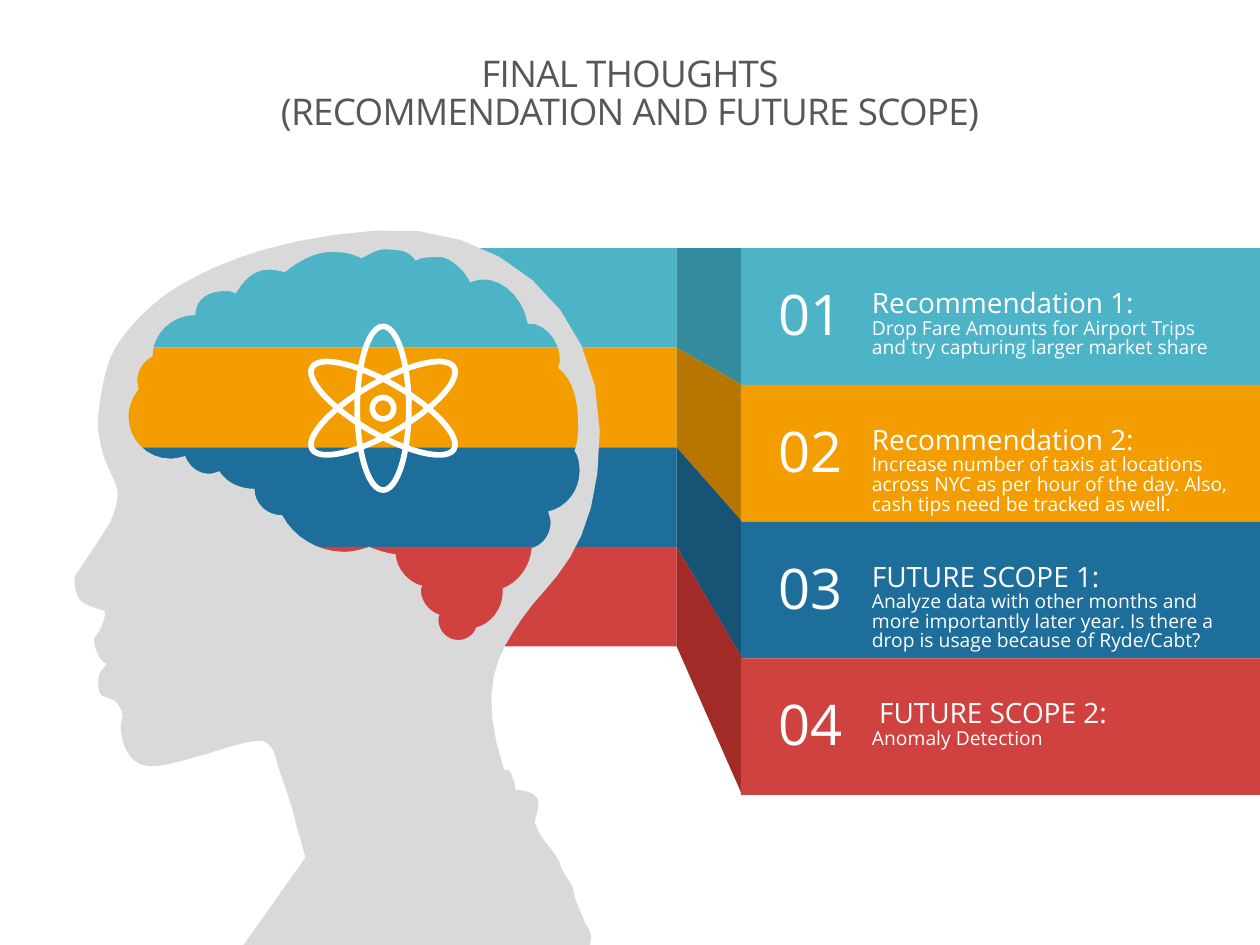
from pptx import Presentation
from pptx.dml.color import RGBColor
from pptx.enum.shapes import MSO_SHAPE
from pptx.enum.text import MSO_ANCHOR, PP_ALIGN
from pptx.util import Inches, Pt

FONT = "Open Sans"
WHITE, GREY = "FFFFFF", "D9D9D9"

# Grid: slim bands behind the head fan out into tall bars on the right
TOP, SLIM, TALL = 1.97, 0.79, 1.085
BAND_X, FOLD_X, BAR_X, TEXT_X = 0.83, 5.37, 5.88, 6.92
BAR_W, TEXT_W = 4.24, 2.83

# Band colour, fold colour, heading, body
ITEMS = [
    ("4DB3C7", "328C9D", "Recommendation 1:",
     "Drop Fare Amounts for Airport Trips and try capturing larger market share"),
    ("F49D00", "B77600", "Recommendation 2:",
     "Increase number of taxis at locations across NYC as per hour of the day. "
     "Also, cash tips need be tracked as well."),
    ("1D6E9B", "165374", "FUTURE SCOPE 1:",
     "Analyze data with other months and more importantly later year. "
     "Is there a drop is usage because of Ryde/Cabt?"),
    ("CF423F", "A22B28", " FUTURE SCOPE 2:", "Anomaly Detection"),
]

# Contours in inches: a pair is the start or a line, six numbers make one cubic curve
SHOULDERS = [
    (4.09, 6.27),
    (4.09, 6.27, 4.09, 6.21, 4.07, 6.18, 4.06, 6.15, 4.06, 6.11, 4.01, 6.11, 3.97, 6.11, 3.95, 6.13, 3.94, 6.13),
    (3.92, 6.13, 3.88, 6.13, 3.85, 6.13, 3.81, 6.14, 3.79, 6.16, 3.72, 6.18, 3.65, 6.19, 3.55, 6.23, 3.52, 6.27),
    (3.47, 6.3, 3.39, 6.34, 3.36, 6.37, 3.33, 6.4, 3.29, 6.39, 3.26, 6.42, 3.23, 6.46, 3.04, 6.61, 2.98, 6.66),
    (2.92, 6.72, 2.73, 6.82, 2.71, 6.89, 2.68, 6.96, 2.64, 7.02, 2.58, 7.04, 2.53, 7.06, 2.44, 7.14, 2.41, 7.18),
    (2.4, 7.22, 2.34, 7.24, 2.31, 7.28, 2.27, 7.33, 2.22, 7.38, 2.22, 7.38, 2.22, 7.38, 2.34, 7.13, 2.38, 7.08),
    (2.41, 7.03, 2.42, 6.94, 2.45, 6.91, 2.44, 6.85, 2.39, 6.68, 2.36, 6.59, 2.26, 6.65, 2.08, 6.77, 2.05, 6.83),
    (2.02, 6.89, 1.99, 7.1, 1.98, 7.16, 1.89, 7.21, 1.7, 7.57, 1.68, 7.65),
    (1.33, 8.43), (0.98, 9.52), (4.88, 9.75), (5.08, 8.51), (4.86, 7.89),
    (4.84, 7.84, 4.77, 7.65, 4.75, 7.63, 4.73, 7.6, 4.69, 7.59, 4.67, 7.56, 4.66, 7.54, 4.7, 7.47, 4.69, 7.42),
    (4.68, 7.37, 4.65, 7.35, 4.63, 7.29, 4.59, 7.2, 4.55, 7.1, 4.55, 7.06, 4.55, 7.02, 4.46, 6.93, 4.45, 6.87),
    (4.44, 6.8, 4.28, 6.64, 4.27, 6.59, 4.25, 6.54, 4.24, 6.54, 4.25, 6.5),
    (4.26, 6.46, 4.29, 6.37, 4.26, 6.33, 4.22, 6.28, 4.14, 6.27, 4.09, 6.27),
]
FACE_MASK = [
    (2.41, 1.94), (1.64, 2.15, 1.71, 2.27, 1.24, 2.49), (0.92, 3.09), (1.01, 3.67),
    (1, 3.87, 1.19, 4.08, 1.18, 4.28, 1.17, 4.62, 1.16, 4.97, 1.14, 5.31), (2.1, 5.38), (2.54, 6.64),
    (1.84, 7.63), (1.56, 8.17), (1.14, 9.39), (-0.21, 9.39), (-0.2, 1.93), (1.25, 1.93),
]
HEAD = [
    (4.76, 3.42),
    (4.76, 2.43, 3.93, 1.75, 2.98, 1.83, 2.03, 1.9, 1.57, 2.18, 1.37, 2.3, 1.17, 2.43, 0.97, 2.65, 0.9, 2.79),
    (0.83, 2.92, 0.79, 3.18, 0.78, 3.3, 0.77, 3.42, 0.79, 3.49, 0.81, 3.57, 0.82, 3.65, 0.9, 3.78, 0.93, 3.88),
    (0.95, 3.97, 0.89, 4.14, 0.84, 4.2, 0.8, 4.27, 0.65, 4.49, 0.61, 4.55, 0.57, 4.6, 0.6, 4.68, 0.62, 4.74),
    (0.65, 4.8, 0.75, 4.82, 0.77, 4.83, 0.79, 4.84, 0.82, 4.84, 0.83, 4.85, 0.84, 4.86, 0.83, 4.92, 0.81, 4.96),
    (0.8, 5, 0.77, 5.04, 0.75, 5.06, 0.74, 5.09, 0.76, 5.16, 0.78, 5.2, 0.8, 5.25, 0.85, 5.27, 0.85, 5.27),
    (0.85, 5.27, 0.78, 5.33, 0.78, 5.4, 0.78, 5.47, 0.79, 5.51, 0.81, 5.52, 0.82, 5.53, 0.91, 5.55, 0.93, 5.58),
    (0.95, 5.61, 0.97, 5.64, 0.97, 5.66, 0.98, 5.68, 0.97, 5.71, 0.96, 5.74, 0.95, 5.85, 1, 6.07, 1.18, 6.08),
    (1.31, 6.09, 1.53, 6.01, 1.62, 5.99, 1.69, 5.97, 2.05, 5.84, 2.11, 5.89, 2.17, 5.93, 2.19, 6, 2.2, 6.06),
    (2.22, 6.12, 2.33, 6.43, 2.35, 6.54, 2.38, 6.65, 2.44, 6.85, 2.45, 6.91, 2.35, 6.94, 2.25, 7.15, 2.23, 7.18),
    (2.18, 7.46), (2.18, 7.46, 2.41, 7.47, 2.41, 7.46, 2.4, 7.44, 3.9, 6.29, 3.9, 6.29), (4, 6.11),
    (3.79, 5.46, 3.94, 5.2, 4.15, 4.9, 4.33, 4.62, 4.76, 4.41, 4.76, 3.42),
]
BRAIN = [
    (3.99, 4.7),
    (3.99, 4.83, 3.9, 4.95, 3.78, 4.98, 3.76, 5.04, 3.7, 5.08, 3.64, 5.08, 3.55, 5.08, 3.48, 5.01, 3.48, 4.92),
    (3.48, 4.91, 3.48, 4.89, 3.49, 4.88, 3.4, 4.85, 3.34, 4.77, 3.34, 4.68, 3.34, 4.67, 3.35, 4.66, 3.35, 4.65),
    (3.24, 4.62, 3.15, 4.52, 3.14, 4.4, 3.07, 4.39, 3, 4.37, 2.93, 4.34, 2.87, 4.36, 2.8, 4.38, 2.73, 4.38),
    (2.52, 4.38, 2.33, 4.26, 2.24, 4.09, 2.12, 4.09, 2.02, 4, 2.02, 3.88, 1.9, 3.88, 1.8, 3.83, 1.74, 3.74),
    (1.71, 3.75, 1.69, 3.76, 1.66, 3.76, 1.57, 3.76, 1.5, 3.7, 1.47, 3.62, 1.43, 3.63, 1.39, 3.64, 1.35, 3.64),
    (1.17, 3.64, 1.02, 3.49, 1.02, 3.31, 1.02, 3.23, 1.05, 3.15, 1.1, 3.09, 1.1, 3.07, 1.09, 3.05, 1.09, 3.02),
    (1.09, 2.94, 1.14, 2.86, 1.21, 2.83, 1.21, 2.65, 1.36, 2.5, 1.55, 2.5, 1.55, 2.37, 1.66, 2.31, 1.78, 2.31),
    (1.81, 2.31, 1.84, 2.31, 1.87, 2.33, 1.93, 2.23, 2.01, 2.14, 2.13, 2.14, 2.18, 2.14, 2.22, 2.15, 2.26, 2.16),
    (2.36, 2.08, 2.49, 2, 2.63, 2, 2.73, 2, 2.79, 2.01, 2.87, 2.05, 2.91, 2.03, 2.99, 1.98, 3.04, 1.98),
    (3.16, 1.98, 3.24, 1.98, 3.3, 2.07, 3.33, 2.04, 3.44, 2.04, 3.49, 2.04, 3.58, 2.04, 3.7, 2.16, 3.73, 2.24),
    (3.94, 2.15, 4.15, 2.34, 4.19, 2.57, 4.35, 2.55, 4.49, 2.78, 4.43, 2.92, 4.56, 3.02, 4.59, 3.2, 4.59, 3.39),
    (4.59, 3.45, 4.58, 3.52, 4.56, 3.58, 4.59, 3.62, 4.6, 3.68, 4.6, 3.74, 4.6, 3.9, 4.49, 4.03, 4.35, 4.06),
    (4.36, 4.09, 4.37, 4.12, 4.37, 4.15, 4.37, 4.25, 4.3, 4.33, 4.22, 4.35, 4.21, 4.49, 4.12, 4.62, 3.99, 4.67),
]


def rgb(value):
    return RGBColor.from_string(value)


def paint(sp, color):
    sp.shadow.inherit = False
    sp.fill.solid()
    sp.fill.fore_color.rgb = rgb(color)
    sp.line.fill.background()


def style(p, size, color=WHITE, spacing=None, align=PP_ALIGN.LEFT):
    p.alignment, p.line_spacing = align, spacing
    for r in p.runs:
        r.font.name, r.font.size, r.font.color.rgb = FONT, Pt(size), rgb(color)


def set_frame(tf, left, top, right, bottom, anchor=MSO_ANCHOR.TOP):
    tf.word_wrap, tf.vertical_anchor = True, anchor
    tf.margin_left, tf.margin_top = Inches(left), Inches(top)
    tf.margin_right, tf.margin_bottom = Inches(right), Inches(bottom)


def add_bar(s, x, y, w, h, color):
    sp = s.shapes.add_shape(MSO_SHAPE.RECTANGLE, Inches(x), Inches(y), Inches(w), Inches(h))
    paint(sp, color)
    return sp


def add_textbox(s, x, y, w, h):
    return s.shapes.add_textbox(Inches(x), Inches(y), Inches(w), Inches(h)).text_frame


def add_ring(s, w, h, rotation=0, cx=3.04, cy=3.24):
    sp = s.shapes.add_shape(MSO_SHAPE.OVAL, Inches(cx - w / 2), Inches(cy - h / 2), Inches(w), Inches(h))
    sp.shadow.inherit = False
    sp.fill.background()
    sp.line.color.rgb, sp.line.width = rgb(WHITE), Pt(3.25)
    sp.rotation = rotation


def bezier(a, b, c, d, steps=8):
    for t in (i / steps for i in range(1, steps + 1)):
        weights = ((1 - t)**3, 3 * (1 - t)**2 * t, 3 * (1 - t) * t * t, t**3)
        yield tuple(sum(k * p[axis] for k, p in zip(weights, (a, b, c, d))) for axis in (0, 1))


def flatten(contour):
    points = []
    for row in contour:
        pairs = list(zip(row[::2], row[1::2]))
        if len(pairs) == 1:
            points += pairs
            continue
        for i in range(0, len(pairs), 3):
            points += list(bezier(points[-1], *pairs[i:i + 3]))
    return [(Inches(x), Inches(y)) for x, y in points]


def add_outline(s, color, outer, *holes):
    start, *rest = flatten(outer)
    builder = s.shapes.build_freeform(*start)
    builder.add_line_segments(rest)
    for hole in holes:
        start, *rest = flatten(hole)
        builder.move_to(*start)
        builder.add_line_segments(rest)
    paint(builder.convert_to_shape(), color)


def add_title(s, text):
    tf = add_textbox(s, 0.75, 0.31, 8.5, 0.89)
    set_frame(tf, 0, 0, 0, 0, MSO_ANCHOR.MIDDLE)
    p = tf.paragraphs[0]
    p.text = text
    style(p, 21, "57565A", 0.86, PP_ALIGN.CENTER)
    for r in p.runs:
        r.font._element.set("spc", "-40")


def add_item(s, row, color, heading, body):
    y = TOP + row * TALL
    tf = add_bar(s, BAR_X, y, BAR_W, TALL, color).text_frame
    set_frame(tf, 0.3, 0, 0.1, 0.05, MSO_ANCHOR.MIDDLE)
    tf.text = f"{row + 1:02}"
    style(tf.paragraphs[0], 32)
    tf = add_textbox(s, TEXT_X, y + 0.29, TEXT_W, 0.8)
    set_frame(tf, 0, 0.05, 0, 0.05)
    tf.text = f"{heading}\n{body}"
    for p, size in zip(tf.paragraphs, (16, 11)):
        style(p, size, spacing=0.85)


def main():
    prs = Presentation()
    prs.slide_width, prs.slide_height = Inches(10), Inches(7.5)
    s = prs.slides.add_slide(prs.slide_layouts[6])
    # Bands behind the head, title, shoulders
    for row, (color, *_) in enumerate(ITEMS):
        add_bar(s, BAND_X, TOP + row * SLIM, FOLD_X - BAND_X, SLIM, color)
    add_title(s, "FINAL THOUGHTS\v(RECOMMENDATION AND FUTURE SCOPE)")
    add_outline(s, GREY, SHOULDERS)
    # Folds, then numbered bars with their text
    for row, (_, shade, *_) in enumerate(ITEMS):
        slim, tall = TOP + row * SLIM, TOP + row * TALL
        add_outline(s, shade, [(FOLD_X, slim), (BAR_X + 0.01, tall),
                               (BAR_X + 0.01, tall + TALL), (FOLD_X, slim + SLIM)])
    for row, (color, _, heading, body) in enumerate(ITEMS):
        add_item(s, row, color, heading, body)
    # Atom: three orbits around a nucleus
    for rotation in (0, 60, 120):
        add_ring(s, 0.41, 1.3, rotation)
    add_ring(s, 0.17, 0.17)
    # Mask in front of the face, head with a brain-shaped opening
    add_outline(s, WHITE, FACE_MASK)
    add_outline(s, GREY, HEAD, BRAIN)
    prs.save("out.pptx")


if __name__ == "__main__":
    main()
